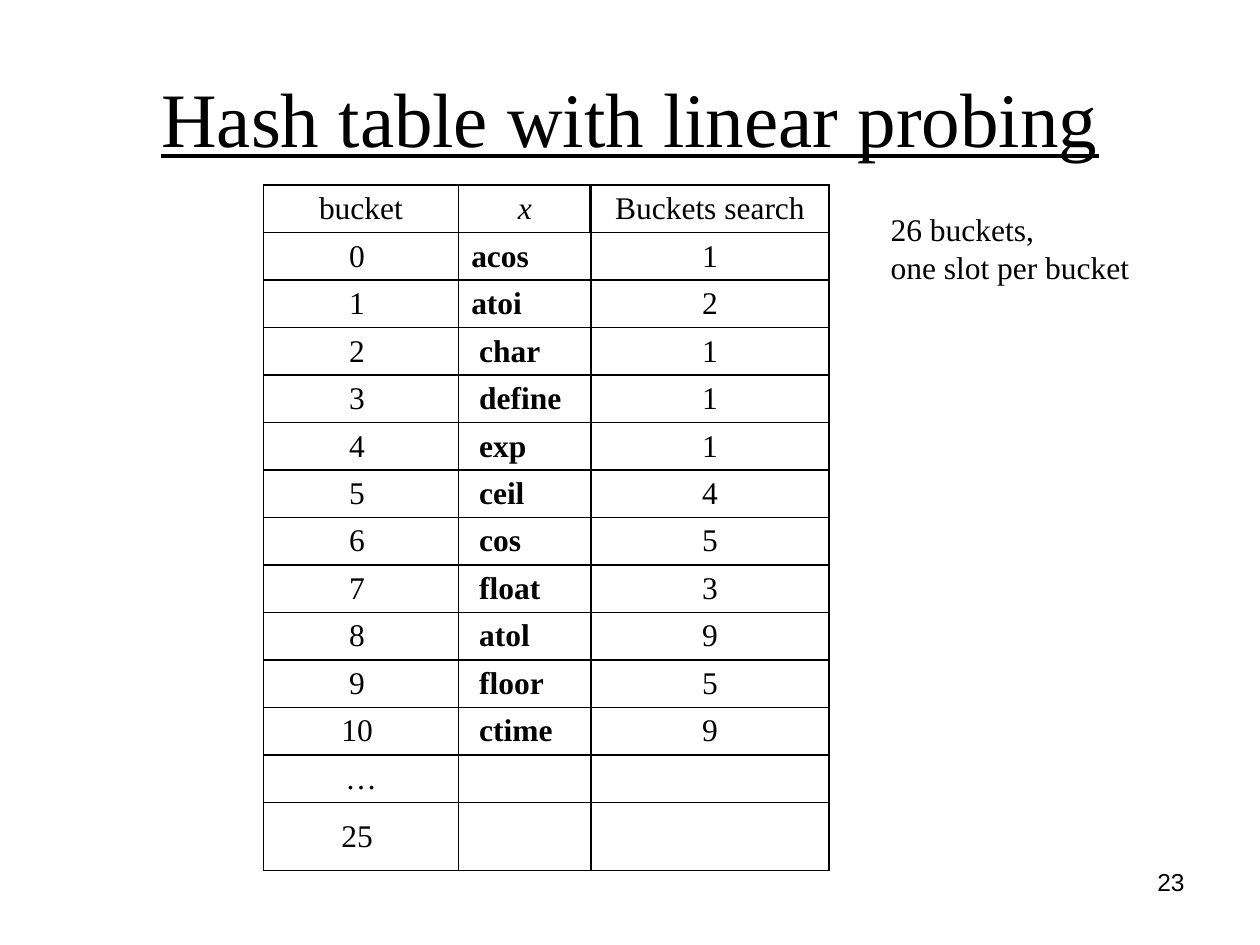
import pptx
import pptx.dml.color
import pptx.enum.text
import pptx.oxml
import pptx.util
from pptx.oxml.ns import nsdecls

ALIGN = pptx.enum.text.PP_ALIGN
MIDDLE = pptx.enum.text.MSO_ANCHOR.MIDDLE
BLACK = "000000"
SERIF = "Times New Roman"

TITLE = "Hash table with linear probing"
NOTE = "26 buckets, \none slot per bucket"
PAGE_NUMBER = "23"
HEADER = ("bucket", "x", "Buckets search")
ENTRIES = [
    ("0 ", "acos", "1"),
    ("1 ", "atoi", "2"),
    ("2 ", " char", "1"),
    ("3 ", " define", "1"),
    ("4 ", " exp", "1"),
    ("5 ", " ceil", "4"),
    ("6 ", " cos", "5"),
    ("7 ", " float", "3"),
    ("8 ", " atol", "9"),
    ("9 ", " floor", "5"),
    ("10 ", " ctime", "9"),
    ("…", "", ""),
    ("25 ", "", ""),
]
COLUMN_WIDTHS = (1.55, 1.05, 1.89)
ROW_HEIGHT, LAST_ROW_HEIGHT = 0.377, 0.54
TABLE_LEFT, TABLE_TOP = 2.09, 1.47

inches = pptx.util.Inches


def color(value):
    return pptx.dml.color.RGBColor.from_string(value)


def write(frame, text, size, align, font=SERIF, **style):
    """Fill a frame with one paragraph whose runs share a format."""
    para = frame.paragraphs[0]
    para.text = text
    para.alignment = align
    for span in para.runs:
        span.font.name = font
        span.font.size = pptx.util.Pt(size)
        span.font.color.rgb = color(BLACK)
        for name, value in style.items():
            setattr(span.font, name, value)


def add_text(page, place, *text, **style):
    box = page.shapes.add_textbox(*map(inches, place))
    box.text_frame.word_wrap = True
    write(box.text_frame, *text, **style)


def set_borders(cell, left=1, right=1, top=1, bottom=1):
    properties = cell._tc.get_or_add_tcPr()
    for side, points in zip("LRTB", (left, right, top, bottom)):
        properties.append(pptx.oxml.parse_xml(
            f'<a:ln{side} {nsdecls("a")} w="{pptx.util.Pt(points)}"><a:solidFill>'
            f'<a:srgbClr val="{BLACK}"/></a:solidFill></a:ln{side}>'))


def add_bucket_table(page):
    rows = [HEADER] + ENTRIES
    heights = [ROW_HEIGHT] * len(ENTRIES) + [LAST_ROW_HEIGHT]
    size = (sum(COLUMN_WIDTHS), sum(heights))
    table = page.shapes.add_table(
        len(rows), len(HEADER), *map(inches, (TABLE_LEFT, TABLE_TOP, *size))).table
    table.first_row = table.horz_banding = False
    for column, width in zip(table.columns, COLUMN_WIDTHS):
        column.width = inches(width)
    for r, (values, height) in enumerate(zip(rows, heights)):
        table.rows[r].height = inches(height)
        for c, value in enumerate(values):
            cell = table.cell(r, c)
            is_header, is_key = r == 0, c == 1
            cell.vertical_anchor = MIDDLE
            cell.margin_top = cell.margin_bottom = inches(0.03)
            set_borders(cell, left=2 if is_header and c == 2 else 1,
                        right=2 if is_header and is_key else 1)
            cell.fill.background()
            align = ALIGN.LEFT if is_key and not is_header else ALIGN.CENTER
            write(cell.text_frame, value, 18, align,
                  bold=is_key and not is_header, italic=is_key and is_header)


def main():
    deck = pptx.Presentation()
    deck.slide_width, deck.slide_height = inches(10), inches(7.5)
    page = deck.slides.add_slide(deck.slide_layouts[5])

    title = page.shapes.title
    title.left, title.top, title.width, title.height = map(inches, (0.5, 0.3, 9, 1.25))
    title.text_frame.vertical_anchor = MIDDLE
    write(title.text_frame, TITLE, 44, ALIGN.CENTER, underline=True)

    add_bucket_table(page)
    add_text(page, (6.97, 1.62, 2.76, 0.7), NOTE, 18, ALIGN.LEFT)
    add_text(page, (7.17, 6.83, 2.33, 0.52), PAGE_NUMBER, 14, ALIGN.RIGHT, font="Arial")
    deck.save("out.pptx")


if __name__ == "__main__":
    main()
